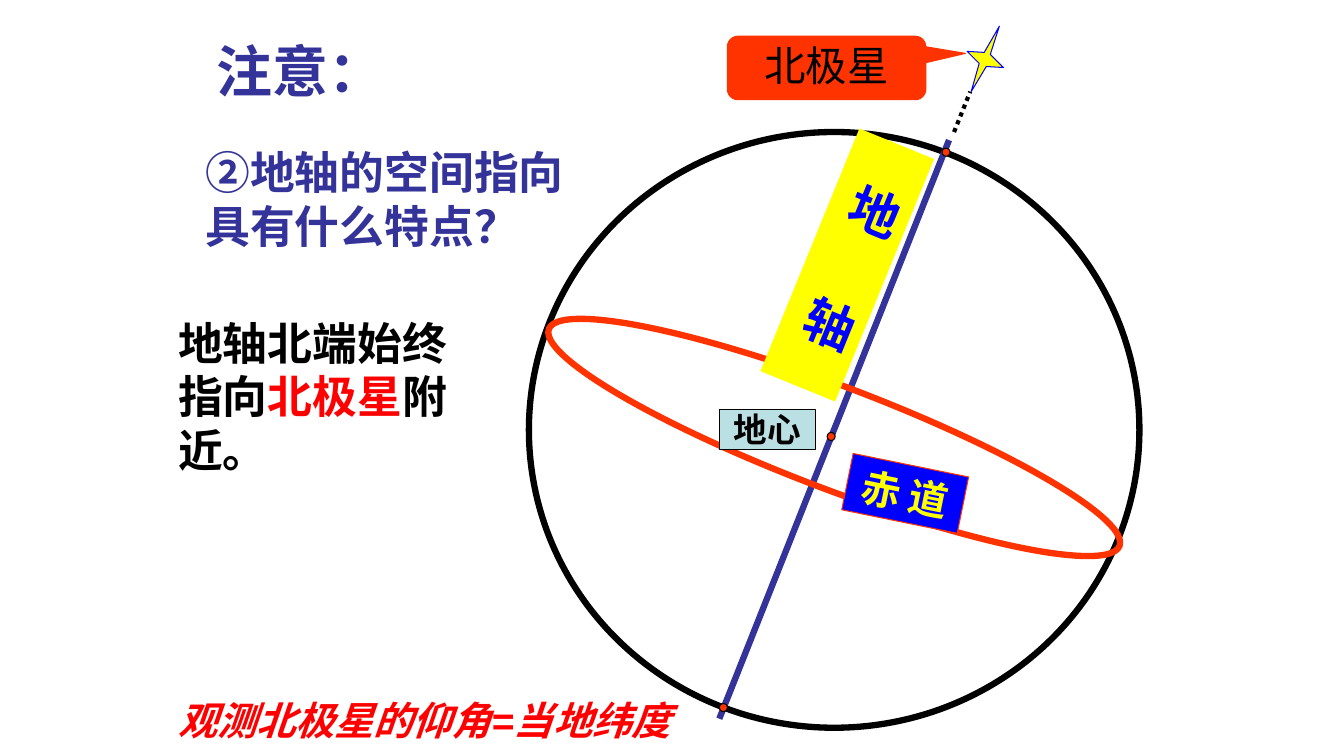
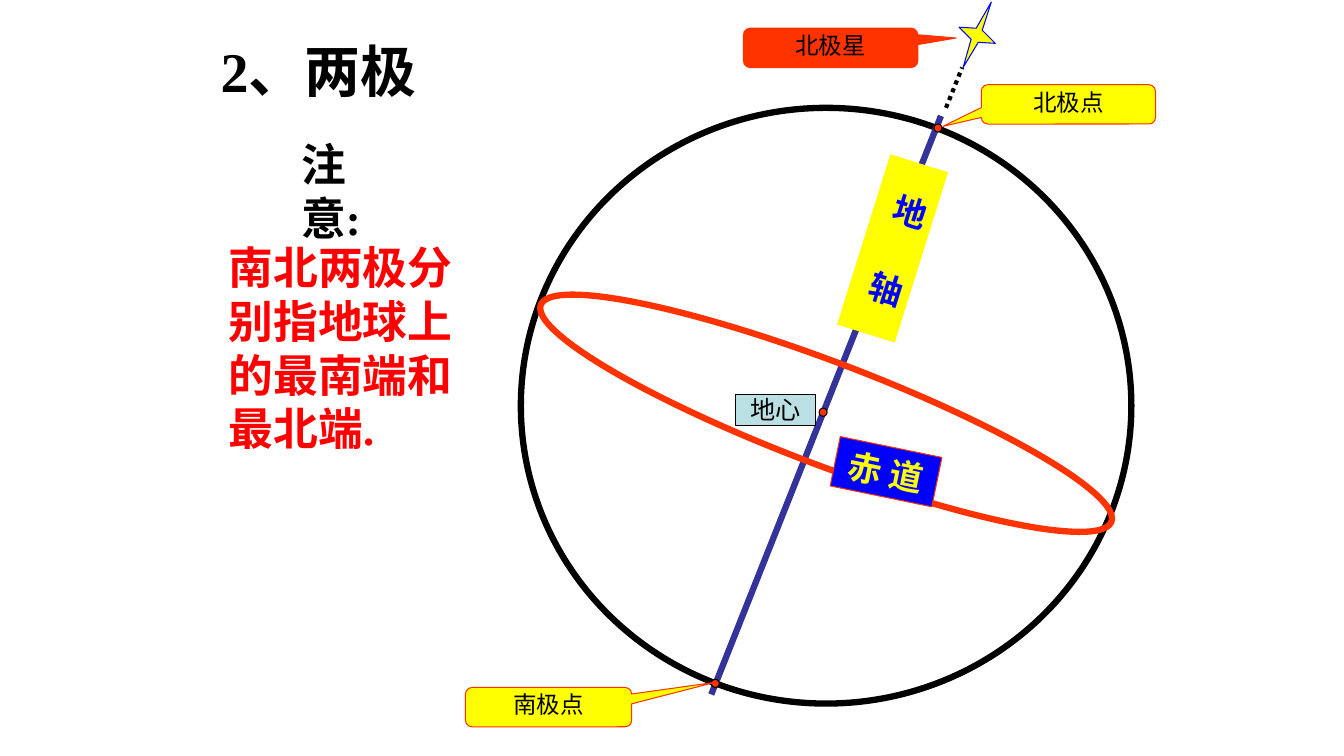
from pptx import Presentation
from pptx import util as u
from pptx.dml.color import RGBColor
from pptx.enum import dml, shapes, text
from pptx.oxml.ns import qn
from lxml import etree

Inches, Pt = u.Inches, u.Pt
SHAPE = shapes.MSO_SHAPE

THEME = {
    "black": "000000", "navy": "333399", "orange": "FF3300", "red": "FF0000",
    "blue": "0000FF", "yellow": "FFFF00", "pale": "BBE0E3",
    "title_size": 40, "body_size": 32, "thin": 0.75, "thick": 4.5, "dotted": 3,
    "sans": "Noto Sans CJK SC", "serif": "Times New Roman",
    "latin": "Arial", "small": "DejaVu Sans",
}

GLOBE_SIZE = (6.06, 5.91)
EQUATOR = (0, 2.52, 6.06, 1.02)
EQUATOR_TILT = 20.8
AXIS = ((4.17, 0.08), (1.89, 5.82))
STAR_RAY = ((4.22, 0), (4.38, -0.4))
STAR_POINTS = [(4.35, -0.8), (4.52, -0.79), (4.67, -1.05), (4.58, -0.77),
               (4.71, -0.64), (4.54, -0.65), (4.39, -0.4), (4.47, -0.68)]
DOT_CENTRES = [(4.14, 0.2), (1.93, 5.71), (3.0, 3.02)]
DOT_SIZE = 0.08

LABEL_STYLES = {
    "equator": {"fill": "blue", "line": "orange", "font": "sans", "color": "yellow", "bold": True},
    "axis": {"fill": "yellow", "line": None, "font": "latin", "color": "blue", "bold": True, "inset": 0.22},
    "centre": {"fill": "pale", "line": "black", "font": "small", "color": "black", "bold": False},
    "star": {"fill": "orange", "line": "orange", "font": "sans", "color": "black", "bold": False},
    "pole": {"fill": "yellow", "line": "orange", "font": "sans", "color": "black", "bold": False},
}

SLIDES = [
    {
        "title": ("注意：", (2.05, 0.31, 2.7, 0.77), "navy"),
        "globe": (5.25, 1.31),
        "labels": [
            {"style": "equator", "lines": ["赤 道"], "box": (8.4, 4.61, 1.17, 0.57), "size": 28, "tilt": 11.5},
            {"style": "axis", "lines": ["地", "轴"], "box": (8.01, 1.33, 0.8, 2.6), "size": 36, "tilt": 22.2},
            {"style": "centre", "lines": ["地心"], "box": (7.14, 4.06, 0.95, 0.4), "size": 24, "bold": True},
            {"style": "star", "lines": ["北极星"], "box": (7.22, 0.36, 1.97, 0.63), "size": 29.6,
             "tip": (0.7, -0.23), "spacing": 0.9},
        ],
        "texts": [
            {"box": (1.67, 3.08, 3.15, 1.7), "font": "sans",
             "runs": [("地轴北端始终指向", "black"), ("北极星", "red"), ("附近。", "black")]},
            {"box": (1.94, 1.39, 3.86, 1.17), "font": "serif",
             "runs": [("②地轴的空间指向具有什么特点？", "navy")]},
            {"box": (1.67, 6.86, 6.33, 0.57), "font": "latin", "size": 28, "italic": True,
             "runs": [("观测北极星的仰角=当地纬度", "red")]},
        ],
    },
    {
        "title": ("2、两极", (2.09, 0.31, 2.7, 0.77), "black"),
        "globe": (5.17, 1.07),
        "labels": [
            {"style": "equator", "lines": ["赤 道"], "box": (8.28, 4.43, 1.03, 0.5), "size": 24, "tilt": 11.6},
            {"style": "axis", "lines": ["地", "轴"], "box": (8.56, 1.58, 0.6, 1.77), "size": 24, "tilt": 17.4},
            {"style": "pole", "lines": ["南极点"], "box": (4.62, 6.82, 1.65, 0.39), "size": 16.8,
             "tip": (1.0, -0.63), "spacing": 0.8},
            {"style": "pole", "lines": ["北极点"], "box": (9.74, 0.84, 1.73, 0.39), "size": 16.8,
             "tip": (-0.72, 0.56), "spacing": 0.8},
            {"style": "centre", "lines": ["地心"], "box": (7.3, 3.91, 0.79, 0.31), "size": 18},
            {"style": "star", "lines": ["北极星"], "box": (7.38, 0.28, 1.73, 0.39), "size": 16.8,
             "tip": (0.72, -0.25), "spacing": 0.8},
        ],
        "texts": [
            {"box": (2.89, 1.31, 1.05, 1.17), "font": "serif", "runs": [("注意:", "black")]},
            {"box": (2.17, 2.33, 2.46, 2.24), "font": "serif",
             "runs": [("南北两极分别指地球上的最南端和最北端.", "red")]},
        ],
    },
]


def color(name):
    return RGBColor.from_string(THEME[name])


def apply(target, values):
    for name, value in values.items():
        setattr(target, name, value)


def place(shape, box):
    apply(shape, dict(zip(("left", "top", "width", "height"), map(Inches, box))))


def paint(shape, fill, line, width=THEME["thin"]):
    shape.shadow.inherit = False
    if fill:
        shape.fill.solid()
        shape.fill.fore_color.rgb = color(fill)
    else:
        shape.fill.background()
    if line:
        shape.line.color.rgb = color(line)
        shape.line.width = Pt(width)
    else:
        shape.line.fill.background()


def add_run(paragraph, words, font, size, tint, bold=True, italic=False):
    run = paragraph.add_run()
    run.text = words
    apply(run.font, {"name": THEME[font], "size": Pt(size), "bold": bold, "italic": italic})
    run.font.color.rgb = color(tint)


def set_frame(frame, wrap, anchor, inset=0.1):
    apply(frame, {"word_wrap": wrap, "vertical_anchor": anchor, "auto_size": text.MSO_AUTO_SIZE.NONE,
                  "margin_left": Inches(inset), "margin_right": Inches(0.1),
                  "margin_top": Inches(0.05), "margin_bottom": Inches(0.05)})


def add_shape(slide, kind, box, fill, line, width=THEME["thin"], tilt=0):
    shape = slide.shapes.add_shape(kind, *map(Inches, box))
    shape.rotation = tilt
    paint(shape, fill, line, width)
    return shape


def add_line(slide, ends, tint, width):
    coordinates = [Inches(value) for point in ends for value in point]
    connector = slide.shapes.add_connector(shapes.MSO_CONNECTOR.STRAIGHT, *coordinates)
    connector.line.color.rgb = color(tint)
    connector.line.width = Pt(width)
    etree.SubElement(connector._element.spPr, qn("a:effectLst"))
    return connector


def add_globe(slide, origin):
    left, top = origin

    def shift(points):
        return [(left + x, top + y) for x, y in points]

    add_shape(slide, SHAPE.OVAL, (left, top, *GLOBE_SIZE), None, "black", THEME["thick"])
    add_line(slide, shift(AXIS), "navy", THEME["thick"])
    x, y, width, height = EQUATOR
    add_shape(slide, SHAPE.OVAL, (left + x, top + y, width, height), None, "orange",
              THEME["thick"], EQUATOR_TILT)
    start, *others = [(Inches(x), Inches(y)) for x, y in shift(STAR_POINTS)]
    builder = slide.shapes.build_freeform(*start)
    builder.add_line_segments(others, close=True)
    paint(builder.convert_to_shape(), "yellow", "blue")
    for x, y in shift(DOT_CENTRES):
        add_shape(slide, SHAPE.OVAL, (x - DOT_SIZE / 2, y - DOT_SIZE / 2, DOT_SIZE, DOT_SIZE),
                  "orange", "black")
    ray = add_line(slide, shift(STAR_RAY), "black", THEME["dotted"])
    ray.line.dash_style = dml.MSO_LINE.ROUND_DOT


def add_label(slide, label):
    style = LABEL_STYLES[label["style"]]
    kind = SHAPE.ROUNDED_RECTANGULAR_CALLOUT if "tip" in label else SHAPE.RECTANGLE
    shape = add_shape(slide, kind, label["box"], style["fill"], style["line"], tilt=label.get("tilt", 0))
    for index, value in enumerate(label.get("tip", ())):
        shape.adjustments[index] = value
    frame = shape.text_frame
    set_frame(frame, "tip" in label, text.MSO_ANCHOR.MIDDLE, style.get("inset", 0.1))
    for index, words in enumerate(label["lines"]):
        paragraph = frame.add_paragraph() if index else frame.paragraphs[0]
        apply(paragraph, {"alignment": text.PP_ALIGN.CENTER, "line_spacing": label.get("spacing", 1.0)})
        if index:
            paragraph.space_before = Pt(1.2 * label["size"])
        add_run(paragraph, words, style["font"], label["size"], style["color"],
                label.get("bold", style["bold"]))


def add_title(slide, words, box, tint):
    title = slide.shapes.title
    place(title, box)
    set_frame(title.text_frame, False, text.MSO_ANCHOR.TOP)
    paragraph = title.text_frame.paragraphs[0]
    paragraph.alignment = text.PP_ALIGN.LEFT
    add_run(paragraph, words, "serif", THEME["title_size"], tint)


def add_text(slide, item):
    frame = slide.shapes.add_textbox(*map(Inches, item["box"])).text_frame
    set_frame(frame, True, text.MSO_ANCHOR.TOP)
    for words, tint in item["runs"]:
        add_run(frame.paragraphs[0], words, item["font"], item.get("size", THEME["body_size"]),
                tint, italic=item.get("italic", False))


def main():
    presentation = Presentation()
    apply(presentation, {"slide_width": Inches(13.34), "slide_height": Inches(7.5)})
    for content in SLIDES:
        slide = presentation.slides.add_slide(presentation.slide_layouts[5])
        add_title(slide, *content["title"])
        add_globe(slide, content["globe"])
        for label in content["labels"]:
            add_label(slide, label)
        for item in content["texts"]:
            add_text(slide, item)
    presentation.save("out.pptx")


if __name__ == "__main__":
    main()
